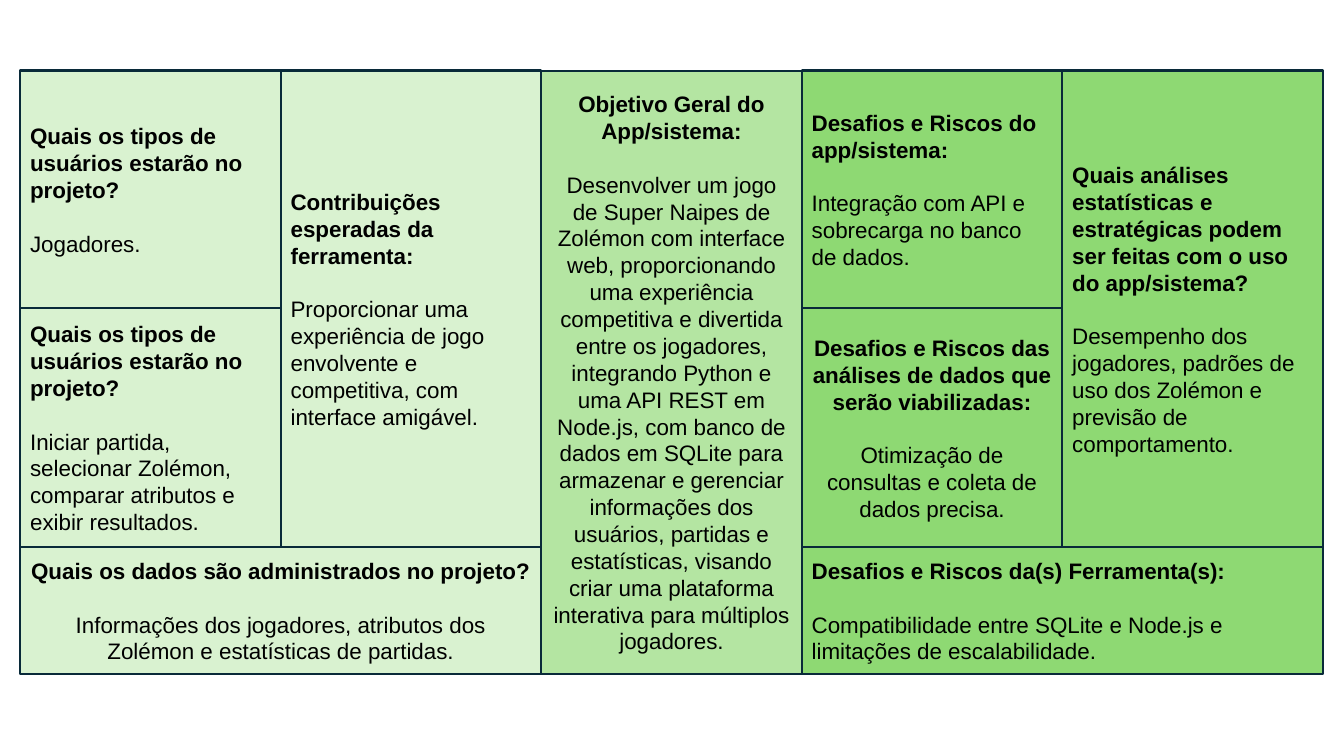
from pptx import Presentation
from pptx.dml.color import RGBColor
from pptx.enum import shapes, text
from pptx.util import Inches, Pt

PALE_GREEN = RGBColor(0xD9, 0xF2, 0xD0)
LIGHT_GREEN = RGBColor(0xB4, 0xE5, 0xA2)
GREEN = RGBColor(0x8E, 0xD9, 0x73)
NAVY = RGBColor(0x09, 0x2A, 0x39)
BLACK = RGBColor(0, 0, 0)

LEFT = 0.2
COLUMN_WIDTH = 12.92 / 5
ROW_EDGES = [0.7, 3.06, 5.43, 6.69]
LEFT_ALIGN = text.PP_ALIGN.LEFT
CENTER = text.PP_ALIGN.CENTER

# column, row, column span, row span, fill, alignment, question, answer
CELLS = [
    (0, 0, 1, 1, PALE_GREEN, LEFT_ALIGN,
     "Quais os tipos de usuários estarão no projeto?",
     "Jogadores."),
    (1, 0, 1, 2, PALE_GREEN, LEFT_ALIGN,
     "Contribuições esperadas da ferramenta:",
     "Proporcionar uma experiência de jogo envolvente e competitiva, "
     "com interface amigável."),
    (2, 0, 1, 3, LIGHT_GREEN, CENTER,
     "Objetivo Geral do App/sistema:",
     "Desenvolver um jogo de Super Naipes de Zolémon com interface web, "
     "proporcionando uma experiência competitiva e divertida entre os "
     "jogadores, integrando Python e uma API REST em Node.js, com banco de "
     "dados em SQLite para armazenar e gerenciar informações dos usuários, "
     "partidas e estatísticas, visando criar uma plataforma interativa para "
     "múltiplos jogadores."),
    (3, 0, 1, 1, GREEN, LEFT_ALIGN,
     "Desafios e Riscos do app/sistema:",
     "Integração com API e sobrecarga no banco de dados."),
    (4, 0, 1, 2, GREEN, LEFT_ALIGN,
     "Quais análises estatísticas e estratégicas podem ser feitas com o uso "
     "do app/sistema?",
     "Desempenho dos jogadores, padrões de uso dos Zolémon e previsão de "
     "comportamento."),
    (0, 1, 1, 1, PALE_GREEN, LEFT_ALIGN,
     "Quais os tipos de usuários estarão no projeto?",
     "Iniciar partida, selecionar Zolémon, comparar atributos e exibir "
     "resultados."),
    (0, 2, 2, 1, PALE_GREEN, CENTER,
     "Quais os dados são administrados no projeto?",
     "Informações dos jogadores, atributos dos Zolémon e estatísticas de "
     "partidas."),
    (3, 1, 1, 1, GREEN, CENTER,
     "Desafios e Riscos das análises de dados que serão viabilizadas:",
     "Otimização de consultas e coleta de dados precisa."),
    (3, 2, 2, 1, GREEN, LEFT_ALIGN,
     "Desafios e Riscos da(s) Ferramenta(s):",
     "Compatibilidade entre SQLite e Node.js e limitações de escalabilidade."),
]


def format_paragraph(para, alignment, bold):
    """Apply the canvas text style to a paragraph."""
    para.alignment = alignment
    for span in para.runs:
        span.font.name = "Arial"
        span.font.size = Pt(16)
        span.font.bold = bold
        span.font.color.rgb = BLACK


def add_cell(page, column, row, columns, rows, fill, alignment, question, answer):
    """Add one canvas box with a bold question above its answer."""
    top = ROW_EDGES[row]
    box = page.shapes.add_shape(
        shapes.MSO_SHAPE.RECTANGLE,
        Inches(LEFT + column * COLUMN_WIDTH), Inches(top),
        Inches(columns * COLUMN_WIDTH), Inches(ROW_EDGES[row + rows] - top))
    box.shadow.inherit = False
    box.fill.solid()
    box.fill.fore_color.rgb = fill
    box.line.color.rgb = NAVY
    box.line.width = Pt(1.5)
    frame = box.text_frame
    frame.word_wrap = True
    frame.vertical_anchor = text.MSO_ANCHOR.MIDDLE
    frame.text = f"{question}\n{answer}"
    heading, body = frame.paragraphs
    format_paragraph(heading, alignment, True)
    format_paragraph(body, alignment, False)
    body.space_before = Pt(19)


def main():
    """Build the project canvas slide."""
    deck = Presentation()
    deck.slide_width = Inches(13.33)
    deck.slide_height = Inches(7.5)
    page = deck.slides.add_slide(deck.slide_layouts[6])
    for cell in CELLS:
        add_cell(page, *cell)
    deck.save("out.pptx")


if __name__ == "__main__":
    main()
